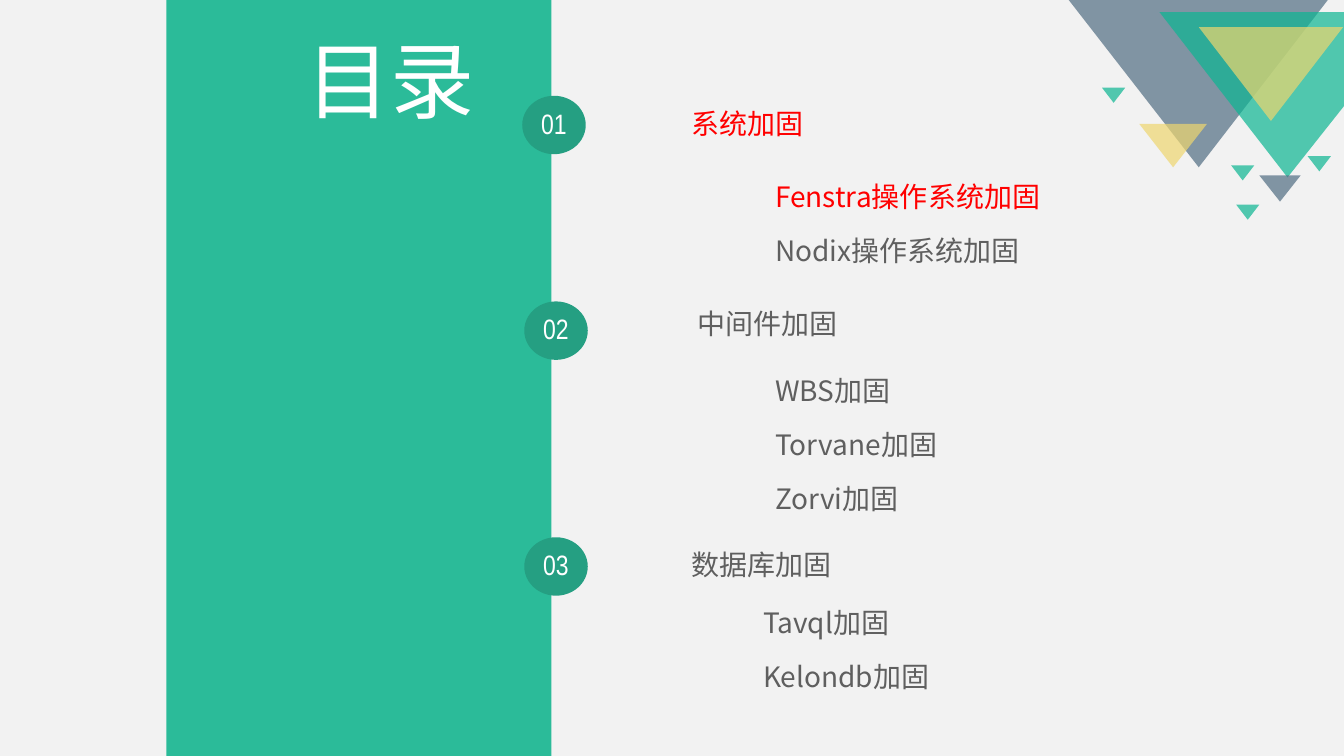
from lxml.etree import SubElement
from pptx import Presentation
from pptx.dml.color import RGBColor
from pptx.enum.shapes import MSO_SHAPE
from pptx.enum.text import MSO_ANCHOR, PP_ALIGN
from pptx.oxml.ns import qn
from pptx.util import Inches, Pt

PAPER = RGBColor(0xF2, 0xF2, 0xF2)
PANEL_GREEN = RGBColor(0x2B, 0xBB, 0x99)
BADGE_GREEN = RGBColor(0x25, 0x9F, 0x82)
SLATE = RGBColor(0x51, 0x6D, 0x82)
TEAL = RGBColor(0x0C, 0xB6, 0x92)
YELLOW = RGBColor(0xEE, 0xD6, 0x6F)
WHITE = RGBColor(0xFF, 0xFF, 0xFF)
RED = RGBColor(0xFF, 0x00, 0x00)
GREY = RGBColor(0x5F, 0x5F, 0x5F)

NUMBER_FONT = "Arial Narrow"
ENTRY_FONT = "Noto Sans CJK SC"

# Corner decoration: outline points and colour
LARGE_PIECES = [
    ([(10.6, 0), (13.17, 0), (11.89, 1.66)], SLATE),
    ([(11.5, 0.12), (13.34, 0.12), (13.34, 1.04), (12.77, 1.76)], TEAL),
]
# Corner decoration: left, top, width, height and colour
SMALL_TRIANGLES = [
    (11.89, 0.27, 1.43, 0.93, YELLOW),
    (11.3, 1.23, 0.67, 0.43, YELLOW),
    (12.97, 1.55, 0.23, 0.15, TEAL),
    (12.26, 2.03, 0.23, 0.15, TEAL),
    (12.21, 1.64, 0.23, 0.15, TEAL),
    (12.49, 1.74, 0.41, 0.26, SLATE),
    (10.93, 0.87, 0.23, 0.15, TEAL),
]
# Number, left and top of each badge
BADGES = [("01", 5.18, 0.95), ("02", 5.2, 2.99), ("03", 5.2, 5.33)]
# Left, top, width, height and lines with their colours
ENTRIES = [
    (6.76, 0.95, 4.31, 0.59, [("系统加固", RED)]),
    (7.59, 1.73, 4.4, 1.01, [("Fenstra操作系统加固", RED), ("Nodix操作系统加固", GREY)]),
    (6.82, 2.93, 4.31, 0.59, [("中间件加固", GREY)]),
    (7.59, 3.58, 4.63, 1.69,
     [("WBS加固", GREY), ("Torvane加固", GREY), ("Zorvi加固", GREY)]),
    (6.76, 5.32, 4.31, 0.59, [("数据库加固", GREY)]),
    (7.47, 5.92, 4.63, 1.08, [("Tavql加固", GREY), ("Kelondb加固", GREY)]),
]


def paint(shape, color, opacity=100):
    shape.shadow.inherit = False
    shape.line.fill.background()
    shape.fill.solid()
    shape.fill.fore_color.rgb = color
    if opacity < 100:
        srgb = shape.fill._xPr.find(".//" + qn("a:srgbClr"))
        SubElement(srgb, qn("a:alpha"), val=str(opacity * 1000))


def add_block(slide, kind, left, top, width, height, color, opacity=100):
    block = slide.shapes.add_shape(
        kind, Inches(left), Inches(top), Inches(width), Inches(height))
    paint(block, color, opacity)
    return block


def add_large_piece(slide, points, color):
    corners = [(Inches(x), Inches(y)) for x, y in points]
    builder = slide.shapes.build_freeform(*corners[0])
    builder.add_line_segments(corners[1:], close=True)
    paint(builder.convert_to_shape(), color, 70)


def style_paragraph(paragraph, text, size, font_name, color):
    paragraph.text = text
    paragraph.line_spacing = 0.9
    paragraph.font.size = Pt(size)
    paragraph.font.name = font_name
    paragraph.font.color.rgb = color


def add_badge(slide, number, left, top):
    badge = add_block(slide, MSO_SHAPE.OVAL, left, top, 0.63, 0.58, BADGE_GREEN)
    frame = badge.text_frame
    frame.margin_left = frame.margin_right = 0
    frame.margin_top = frame.margin_bottom = 0
    frame.vertical_anchor = MSO_ANCHOR.MIDDLE
    label = frame.paragraphs[0]
    style_paragraph(label, number, 20, NUMBER_FONT, WHITE)
    label.alignment = PP_ALIGN.CENTER


def add_text(slide, left, top, width, height, lines, size=20, font_name=ENTRY_FONT):
    frame = slide.shapes.add_textbox(
        Inches(left), Inches(top), Inches(width), Inches(height)).text_frame
    frame.word_wrap = True
    frame.vertical_anchor = MSO_ANCHOR.MIDDLE
    for index, (text, color) in enumerate(lines):
        paragraph = frame.add_paragraph() if index else frame.paragraphs[0]
        style_paragraph(paragraph, text, size, font_name, color)
        if index:
            paragraph.space_before = Pt(17)


def main():
    prs = Presentation()
    prs.slide_width, prs.slide_height = Inches(13.33), Inches(7.5)
    slide = prs.slides.add_slide(prs.slide_layouts[6])
    slide.background.fill.solid()
    slide.background.fill.fore_color.rgb = PAPER

    # Corner decoration
    for points, color in LARGE_PIECES:
        add_large_piece(slide, points, color)
    for left, top, width, height, color in SMALL_TRIANGLES:
        triangle = add_block(slide, MSO_SHAPE.ISOSCELES_TRIANGLE,
                             left, top, width, height, color, 70)
        triangle.rotation = 180

    # Green panel with the title
    add_block(slide, MSO_SHAPE.RECTANGLE, 1.65, 0, 3.82, 7.5, PANEL_GREEN)
    add_text(slide, 2.94, 0.27, 1.9, 1.16, [("目录", WHITE)], 60, NUMBER_FONT)

    # Numbered contents
    for number, left, top in BADGES:
        add_badge(slide, number, left, top)
    for entry in ENTRIES:
        add_text(slide, *entry)

    prs.save("out.pptx")


if __name__ == "__main__":
    main()
